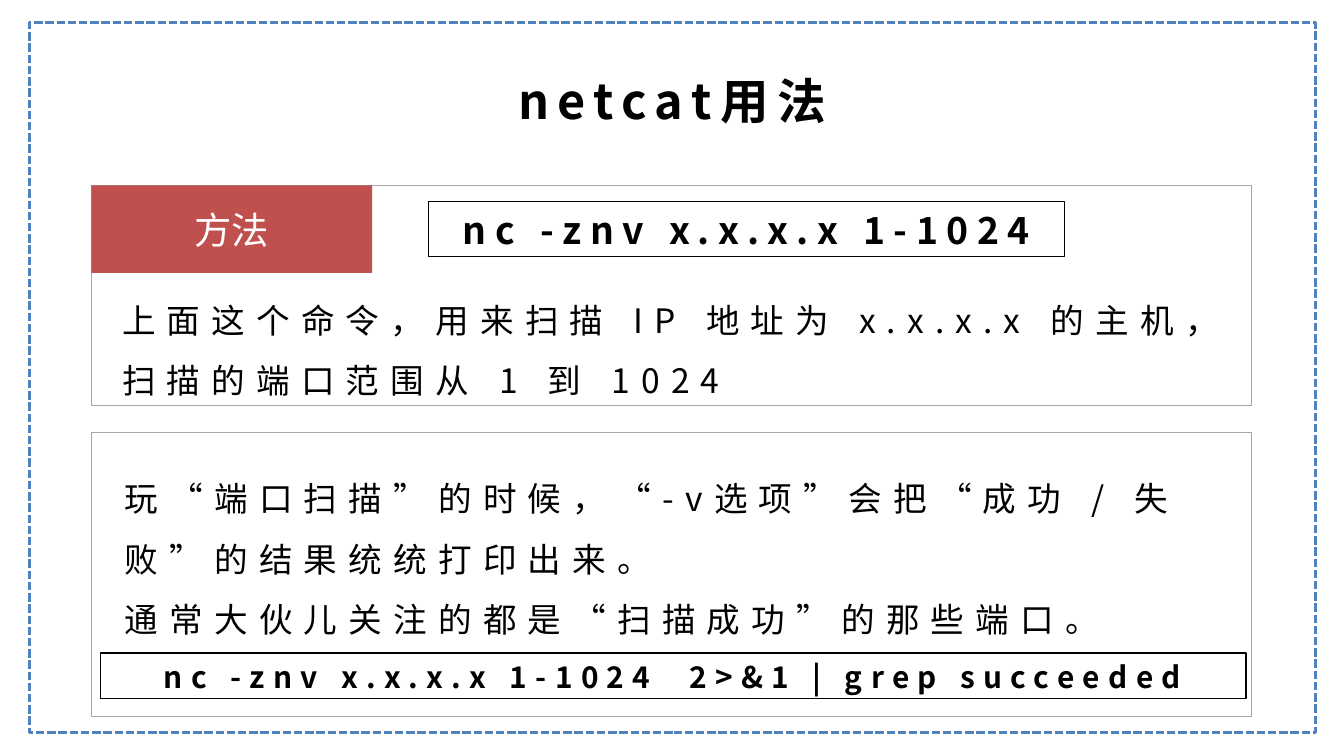
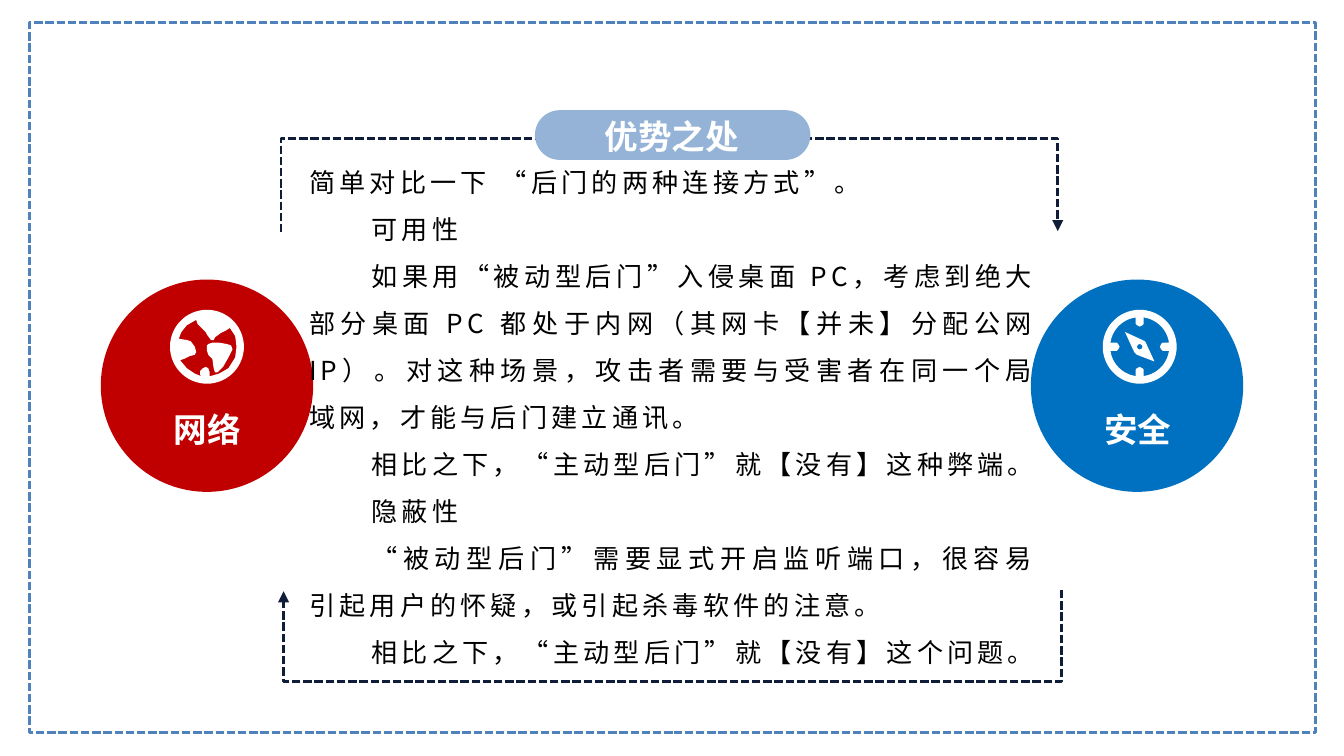
from dataclasses import dataclass
from math import cos, radians, sin
from typing import NamedTuple, Optional

from lxml.etree import SubElement
from pptx import Presentation
from pptx.dml.color import RGBColor
from pptx.enum.dml import MSO_LINE
from pptx.enum.shapes import MSO_CONNECTOR, MSO_SHAPE
from pptx.enum.text import MSO_ANCHOR, MSO_AUTO_SIZE, PP_ALIGN
from pptx.oxml.ns import qn
from pptx.shapes.autoshape import Shape
from pptx.slide import Slide
from pptx.util import Emu, Pt

PX = 9144  # 100 px to the inch
SLIDE_WIDTH = 1000
FONT = "Noto Sans CJK SC"

BLACK = RGBColor(0x00, 0x00, 0x00)
WHITE = RGBColor(0xFF, 0xFF, 0xFF)
FRAME_BLUE = RGBColor(0x4F, 0x81, 0xBD)
PANEL_GRAY = RGBColor(0xA6, 0xA6, 0xA6)
TAG_RED = RGBColor(0xC0, 0x50, 0x4D)
ARROW_NAVY = RGBColor(0x0F, 0x1D, 0x38)
NETWORK_RED = RGBColor(0xC0, 0x00, 0x00)
SECURITY_BLUE = RGBColor(0x00, 0x70, 0xC0)
PILL_BLUE = RGBColor(0x95, 0xB3, 0xD7)

Point = tuple[float, float]
Contour = list[Point]


class Box(NamedTuple):
    left: int
    top: int
    width: int
    height: int

    def emu(self) -> list[Emu]:
        return [Emu(length * PX) for length in self]


class Outline(NamedTuple):
    color: RGBColor
    points: float
    dash: Optional[MSO_LINE] = None


@dataclass(frozen=True)
class TextStyle:
    size: int
    color: RGBColor = BLACK
    bold: bool = False
    spacing: float = 0
    align: PP_ALIGN = PP_ALIGN.CENTER
    line_spacing: float = 1.0
    anchor: MSO_ANCHOR = MSO_ANCHOR.TOP
    inset: tuple[int, int] = (7, 4)
    grow: bool = True


@dataclass(frozen=True)
class Topic:
    label: str
    left: int
    color: RGBColor
    icon_center_x: int
    icon: list[Contour]


TITLE = TextStyle(26, bold=True, spacing=4.5)
COMMAND = TextStyle(20, bold=True, spacing=4.5)
LONG_COMMAND = TextStyle(16, bold=True, spacing=4.5, grow=False)
TAG = TextStyle(20, WHITE, anchor=MSO_ANCHOR.MIDDLE, grow=False)
BODY = TextStyle(18, spacing=6, align=PP_ALIGN.LEFT, line_spacing=1.5, inset=(10, 5))
NOTES = TextStyle(18, spacing=6, align=PP_ALIGN.LEFT, line_spacing=1.5, inset=(10, 5), grow=False)
LABEL = TextStyle(18, WHITE, bold=True)
COMPARISON = TextStyle(14, spacing=2.2, align=PP_ALIGN.JUSTIFY, line_spacing=1.5)
COMPARISON_INDENT = Pt(33.4)  # two characters

PANEL_LINE = Outline(PANEL_GRAY, 0.5)
COMMAND_LINE = Outline(BLACK, 0.75)
FRAME_LINE = Outline(FRAME_BLUE, 1.5, MSO_LINE.SQUARE_DOT)

ICON_SIZE = 55
CIRCLE_SIZE = 158
CIRCLE_TOP = 208
ICON_CENTER_Y = 258


def write(shape: Shape, paragraphs: list[str], style: TextStyle) -> None:
    frame = shape.text_frame
    frame.word_wrap = True
    frame.auto_size = MSO_AUTO_SIZE.SHAPE_TO_FIT_TEXT if style.grow else MSO_AUTO_SIZE.NONE
    frame.vertical_anchor = style.anchor
    across, down = (Emu(length * PX) for length in style.inset)
    frame.margin_left = frame.margin_right = across
    frame.margin_top = frame.margin_bottom = down
    frame.text = "\n".join(paragraphs)
    for paragraph in frame.paragraphs:
        paragraph.alignment = style.align
        paragraph.line_spacing = style.line_spacing
        for run in paragraph.runs:
            run.font.size = Pt(style.size)
            run.font.bold = style.bold
            run.font.color.rgb = style.color
            run.font.name = FONT
            properties = run.font._element
            properties.set("spc", str(round(style.spacing * 100)))
            SubElement(properties, qn("a:ea")).set("typeface", FONT)


def add_text(slide: Slide, box: Box, paragraphs: list[str], style: TextStyle) -> Shape:
    shape = slide.shapes.add_textbox(*box.emu())
    write(shape, paragraphs, style)
    return shape


def paint(shape: Shape, fill: Optional[RGBColor], outline: Optional[Outline]) -> None:
    shape.shadow.inherit = False
    if fill is None:
        shape.fill.background()
    else:
        shape.fill.solid()
        shape.fill.fore_color.rgb = fill
    if outline is None:
        shape.line.fill.background()
    else:
        shape.line.color.rgb = outline.color
        shape.line.width = Pt(outline.points)
        shape.line.dash_style = outline.dash


def add_block(slide: Slide, box: Box, fill: Optional[RGBColor] = None,
              outline: Optional[Outline] = None,
              kind: MSO_SHAPE = MSO_SHAPE.RECTANGLE) -> Shape:
    shape = slide.shapes.add_shape(kind, *box.emu())
    paint(shape, fill, outline)
    return shape


def add_framed_slide(presentation: Presentation) -> Slide:
    slide = presentation.slides.add_slide(presentation.slide_layouts[6])
    add_block(slide, Box(22, 17, 957, 528), outline=FRAME_LINE)
    return slide


def add_bracket_arrow(slide: Slide, begin: Point, end: Point, turn_y: int) -> None:
    """Dashed elbow that leaves vertically, crosses at turn_y and comes back."""
    (begin_x, begin_y), (end_x, end_y) = begin, end
    rise, run = end_y - begin_y, end_x - begin_x
    connector = slide.shapes.add_connector(MSO_CONNECTOR.ELBOW, 0, 0, 0, 0)
    connector.width, connector.height = Emu(abs(rise) * PX), Emu(abs(run) * PX)
    connector.left = Emu((begin_x + end_x - abs(rise)) * PX // 2)
    connector.top = Emu((begin_y + end_y - abs(run)) * PX // 2)
    connector.line.color.rgb = ARROW_NAVY
    connector.line.width = Pt(1.5)
    connector.line.dash_style = MSO_LINE.SQUARE_DOT

    properties = connector._element.spPr
    transform = properties.find(qn("a:xfrm"))
    transform.set("rot", str(90 * 60000))
    transform.set("flipH", str(int(rise < 0)))
    transform.set("flipV", str(int(run > 0)))
    geometry = properties.find(qn("a:prstGeom"))
    adjustments = geometry.find(qn("a:avLst"))
    if adjustments is None:
        adjustments = SubElement(geometry, qn("a:avLst"))
    guide = SubElement(adjustments, qn("a:gd"))
    guide.set("name", "adj1")
    guide.set("fmla", f"val {round((turn_y - begin_y) / rise * 100000)}")
    SubElement(properties.find(qn("a:ln")), qn("a:tailEnd")).set("type", "triangle")
    SubElement(properties, qn("a:effectLst"))


def arc(radius: float, start: int = 0, stop: int = 360, step: int = 6) -> Contour:
    return [(radius * cos(radians(angle)), radius * sin(radians(angle)))
            for angle in range(start, stop, step)]


def rotate(points: Contour, degrees: int) -> Contour:
    cosine, sine = cos(radians(degrees)), sin(radians(degrees))
    return [(x * cosine - y * sine, x * sine + y * cosine) for x, y in points]


def compass_icon() -> list[Contour]:
    """Ring with four ticks pointing inwards and a needle."""
    tick = [(22, -3), (17, -3), (16, -2), (15, 0), (16, 2), (17, 3), (22, 3)]
    quarter = tick + arc(22, 10, 84)
    face = [point for turn in range(0, 360, 90) for point in rotate(quarter, turn)]
    needle = [(-11, -11), (2, -5), (4, -4), (5, -2), (11, 11), (-2, 6), (-4, 4), (-5, 2)]
    return [arc(ICON_SIZE / 2), face, needle, arc(2, step=30)]


def globe_icon() -> list[Contour]:
    """Disc with the sea cut out and one continent inside it."""
    sea = [(2, 22), (2, 19), (1, 16), (-1, 15), (-3, 16), (-5, 18), (-5, 21), (-4, 22),
           (-9, 20), (-15, 16), (-20, 10), (-17, 9), (-13, 7), (-9, 6), (-8, 4), (-9, 0),
           (-12, -4), (-15, -5), (-21, -6), (-19, -11), (-15, -16), (-8, -20),
           (-7, -17), (-4, -14), (-1, -11), (0, -9), (3, -5), (5, -5), (6, -7),
           (10, -10), (14, -12), (17, -14), (21, -8), (22, 0), (21, 8), (16, 16), (9, 20)]
    continent = [(15, -2), (9, -3), (4, -3), (1, -2), (0, -1), (0, 3), (1, 6), (4, 9),
                 (5, 16), (6, 19), (8, 19), (12, 15), (16, 8), (19, 2), (18, -1)]
    return [arc(ICON_SIZE / 2), sea, continent]


def add_icon(slide: Slide, center: Point, contours: list[Contour]) -> None:
    placed = [[((center[0] + x) * PX, (center[1] + y) * PX) for x, y in contour]
              for contour in contours]
    builder = slide.shapes.build_freeform(*placed[0][0], scale=1.0)
    builder.add_line_segments(placed[0][1:], close=True)
    for contour in placed[1:]:
        builder.move_to(*contour[0])
        builder.add_line_segments(contour[1:], close=True)
    paint(builder.convert_to_shape(), WHITE, None)


def add_topic(slide: Slide, topic: Topic) -> None:
    circle = Box(topic.left, CIRCLE_TOP, CIRCLE_SIZE, CIRCLE_SIZE)
    add_block(slide, circle, topic.color, kind=MSO_SHAPE.OVAL)
    add_icon(slide, (topic.icon_center_x, ICON_CENTER_Y), topic.icon)
    add_text(slide, Box(topic.left + 11, 300, 137, 38), [topic.label], LABEL)


def build_usage_slide(presentation: Presentation) -> None:
    slide = add_framed_slide(presentation)
    add_block(slide, Box(68, 322, 863, 211), outline=PANEL_LINE)
    add_text(slide, Box(83, 336, 850, 183), [
        "玩“端口扫描”的时候，“-v选项”会把“成功 / 失败”的结果统统打印出来。",
        "通常大伙儿关注的都是“扫描成功”的那些端口。",
    ], NOTES)
    add_block(slide, Box(68, 138, 863, 164), outline=PANEL_LINE)
    write(add_block(slide, Box(68, 138, 209, 65), TAG_RED), ["方法"], TAG)
    add_text(slide, Box(81, 203, 850, 101), [
        "上面这个命令，用来扫描 IP 地址为 x.x.x.x 的主机，扫描的端口范围从 1 到 1024",
    ], BODY)
    add_text(slide, Box(295, 49, 410, 51), ["netcat用法"], TITLE)
    write(add_block(slide, Box(319, 150, 473, 41), outline=COMMAND_LINE),
          ["nc -znv x.x.x.x 1-1024"], COMMAND)
    write(add_block(slide, Box(75, 486, 852, 34), outline=COMMAND_LINE),
          ["nc -znv x.x.x.x 1-1024  2>&1 | grep succeeded"], LONG_COMMAND)


def build_advantage_slide(presentation: Presentation) -> None:
    slide = add_framed_slide(presentation)
    add_bracket_arrow(slide, (209, 173), (787, 172), 102)
    add_bracket_arrow(slide, (790, 439), (211, 440), 508)
    for topic in (Topic("网络", 75, NETWORK_RED, 154, globe_icon()),
                  Topic("安全", 767, SECURITY_BLUE, 848, compass_icon())):
        add_topic(slide, topic)
    pill = add_block(slide, Box(398, 82, 205, 37), PILL_BLUE, kind=MSO_SHAPE.ROUNDED_RECTANGLE)
    pill.adjustments[0] = 0.5
    add_text(slide, Box(415, 82, 170, 38), ["优势之处"], LABEL)
    comparison = add_text(slide, Box(223, 108, 555, 396), [
        "简单对比一下 “后门的两种连接方式”。",
        "可用性",
        "如果用“被动型后门”入侵桌面 PC，考虑到绝大部分桌面 PC 都处于内网（其网卡【并未】"
        "分配公网 IP）。对这种场景，攻击者需要与受害者在同一个局域网，才能与后门建立通讯。",
        "相比之下，“主动型后门”就【没有】这种弊端。",
        "隐蔽性",
        "“被动型后门”需要显式开启监听端口，很容易引起用户的怀疑，或引起杀毒软件的注意。",
        "相比之下，“主动型后门”就【没有】这个问题。",
    ], COMPARISON)
    for paragraph in comparison.text_frame.paragraphs[1:]:
        paragraph._p.get_or_add_pPr().set("indent", str(COMPARISON_INDENT))


def main() -> None:
    presentation = Presentation()
    presentation.slide_width = Emu(SLIDE_WIDTH * PX)
    presentation.slide_height = Emu(SLIDE_WIDTH * PX * 9 // 16)
    build_usage_slide(presentation)
    build_advantage_slide(presentation)
    presentation.save("out.pptx")


if __name__ == "__main__":
    main()
